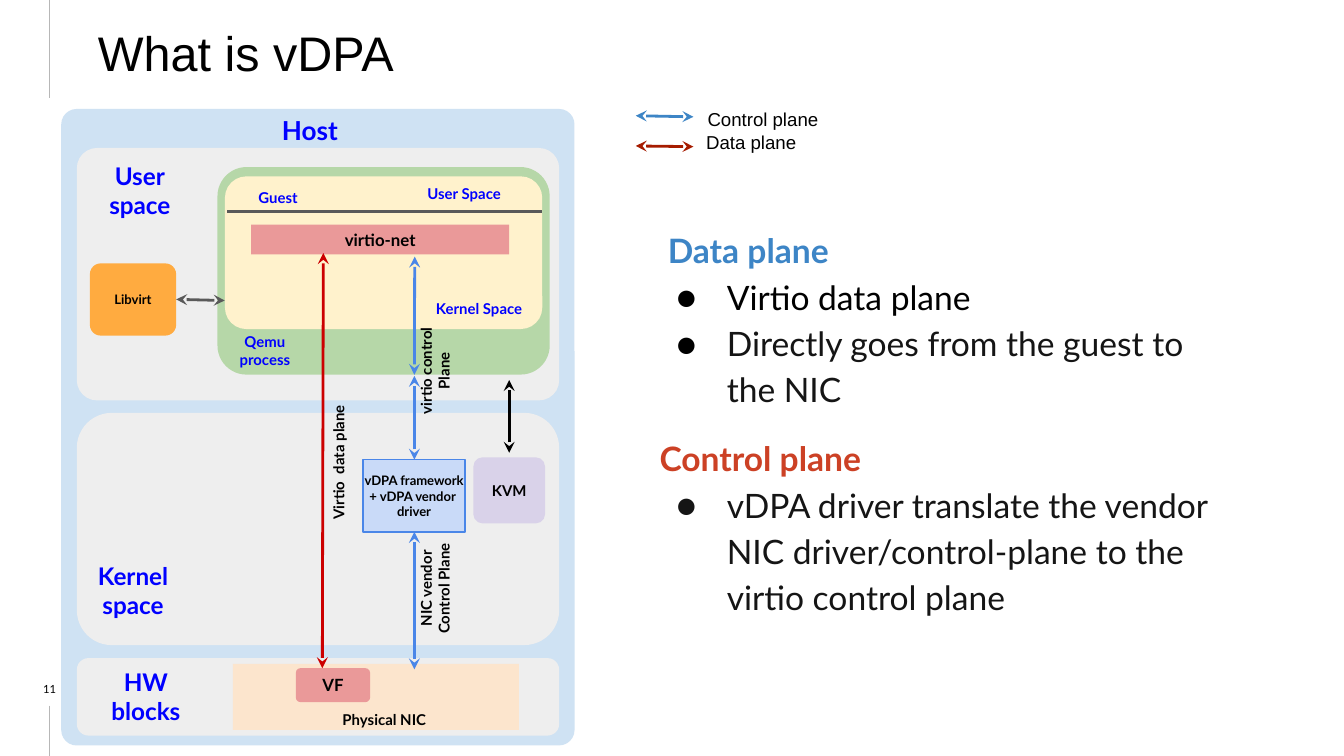
from lxml.etree import SubElement
from pptx import Presentation
from pptx.dml.color import RGBColor
from pptx.enum.shapes import MSO_CONNECTOR, MSO_SHAPE
from pptx.enum.text import MSO_ANCHOR, PP_ALIGN
from pptx.oxml.ns import qn
from pptx.util import Pt

COLORS = {
    "black": "000000", "ink": "151515", "label": "0000FF", "rule": "B7B7B7",
    "host": "CFE2F3", "zone": "EEEEEE", "orange": "FFAB40", "green": "B6D7A8",
    "cream": "FFF2CC", "lilac": "D9D2E9", "pink": "EA9999", "peach": "FCE5CD",
    "driver": "C9DAF8", "blue": "4A86E8", "red": "CC0000", "gray": "595959",
    "control": "3D85C6", "data": "A61C00", "rust": "CC4125",
}


class Deck:
    """Holds the style and the current slide, with one method per element."""

    def __init__(self, prs):
        self.s = prs.slides.add_slide(prs.slide_layouts[6])
        self.font = "Lato"

    def color(self, name):
        return RGBColor.from_string(COLORS[name])

    def run(self, p, text, size, color="black", bold=True, font=None):
        r = p.add_run()
        r.text = text
        r.font.size = Pt(size)
        r.font.name = font or self.font
        r.font.bold = bold
        r.font.color.rgb = self.color(color)

    def frame(self, sp, anchor=MSO_ANCHOR.MIDDLE, inset=7.2):
        tf = sp.text_frame
        tf.word_wrap = True
        tf.vertical_anchor = anchor
        tf.margin_left = tf.margin_right = Pt(inset)
        tf.margin_top = tf.margin_bottom = Pt(inset)
        return tf

    def fill_text(self, tf, text, size, align=PP_ALIGN.CENTER, **style):
        for i, line in enumerate(text.split("\n")):
            p = tf.add_paragraph() if i else tf.paragraphs[0]
            p.alignment = align
            self.run(p, line, size, **style)

    def box(self, x, y, w, h):
        return self.s.shapes.add_textbox(Pt(x), Pt(y), Pt(w), Pt(h))

    def text(self, x, y, w, h, text, size, anchor=MSO_ANCHOR.MIDDLE, inset=7.2,
             rotation=0, **style):
        sp = self.box(x, y, w, h)
        sp.rotation = rotation
        tf = self.frame(sp, anchor, inset)
        self.fill_text(tf, text, size, **style)
        return tf

    def block(self, x, y, w, h, fill, radius=None, text=None, size=8,
              line=None, inset=7.2):
        kind = MSO_SHAPE.ROUNDED_RECTANGLE if radius else MSO_SHAPE.RECTANGLE
        sp = self.s.shapes.add_shape(kind, Pt(x), Pt(y), Pt(w), Pt(h))
        sp.shadow.inherit = False
        if radius:
            sp.adjustments[0] = radius
        sp.fill.solid()
        sp.fill.fore_color.rgb = self.color(fill)
        if line:
            sp.line.color.rgb = self.color(line)
            sp.line.width = Pt(0.75)
        else:
            sp.line.fill.background()
        if text:
            self.fill_text(self.frame(sp, inset=inset), text, size)

    def line(self, x1, y1, x2, y2, color, width=1.5, arrows=True):
        cx = self.s.shapes.add_connector(
            MSO_CONNECTOR.STRAIGHT, Pt(x1), Pt(y1), Pt(x2), Pt(y2))
        cx.line.color.rgb = self.color(color)
        cx.line.width = Pt(width)
        if arrows:
            ln = cx.line._get_or_add_ln()
            for end in ("a:headEnd", "a:tailEnd"):
                SubElement(ln, qn(end), type="stealth", w="med", len="med")
        SubElement(cx._element.spPr, qn("a:effectLst"))

    def bullet(self, p, color):
        pPr = p._p.get_or_add_pPr()
        pPr.set("marL", str(Pt(36)))
        pPr.set("indent", str(Pt(-27)))
        clr = SubElement(pPr, qn("a:buClr"))
        SubElement(clr, qn("a:srgbClr"), val=COLORS[color])
        SubElement(pPr, qn("a:buFont"), typeface=self.font)
        SubElement(pPr, qn("a:buChar"), char="●")

    def outline(self, x, y, w, h, items):
        tf = self.frame(self.box(x, y, w, h), MSO_ANCHOR.TOP)
        for i, (text, color, dot, before) in enumerate(items):
            p = tf.add_paragraph() if i else tf.paragraphs[0]
            if dot:
                self.bullet(p, dot)
            p.line_spacing = 1.15
            if before:
                p.space_before = Pt(before)
            self.run(p, text, 18, color, bold=not dot)


def main():
    prs = Presentation()
    prs.slide_width, prs.slide_height = Pt(720), Pt(405)
    d = Deck(prs)
    left = PP_ALIGN.LEFT

    for y1, y2 in ((0, 52.5), (378, 405)):
        d.line(26.6, y1, 26.6, y2, "rule", 0.75, arrows=False)
    title = d.text(26.6, 3.6, 304, 48.2, "What is vDPA", 26, inset=5,
                   align=left, bold=False, font="Arial")
    title.margin_left = Pt(25.9)

    d.outline(346.3, 113, 316, 224, [
        (" Data plane", "control", None, 0),
        ("Virtio data plane", "black", "black", 0),
        ("Directly goes from the guest to the NIC", "ink", "black", 0),
        ("Control plane", "rust", None, 12),
        ("vDPA driver translate the vendor NIC driver/control-plane to the "
         "virtio control plane", "ink", "ink", 0),
    ])

    d.line(340.6, 62, 371.5, 62.6, "control")
    d.line(340.6, 78.2, 371.5, 78.6, "data")
    for x, y, w, name in ((371.2, 64, 63, "Data plane"),
                          (372, 51.8, 103, "Control plane")):
        d.text(x, y, w, 28.8, name, 10, MSO_ANCHOR.TOP, align=left,
               bold=False, font="Arial")

    d.block(32.8, 58.4, 275, 341, "host", 0.03)
    for y, h, radius in ((79.3, 135.2, 0.08), (221.2, 124.4, 0.15),
                         (352.6, 41.5, 0.15)):
        d.block(41.2, y, 258.4, h, "zone", radius)
    d.block(48.2, 141.1, 46.2, 38.7, "orange", 0.15, "Libvirt", 7)
    d.block(116.5, 89.5, 178, 111.2, "green", 0.14)
    d.block(120.5, 94.5, 170, 81.8, "cream", 0.14)
    d.block(253.6, 245, 38.4, 35.4, "lilac", 0.14, "KVM")
    d.block(134.6, 120.4, 138.2, 16, "pink", None, "virtio-net", 9)
    d.block(124.8, 355.6, 153.2, 35.4, "peach")
    d.block(158.5, 358, 39.8, 18.2, "pink", 0.14, "VF", 9)
    d.block(194.5, 246.3, 54.7, 38.7, "driver", None,
            "vDPA framework + vDPA vendor  driver", 7, "blue", 0)

    for x, y, w, h, name, size in (
            (131.8, 58.4, 68.4, 22.3, "Host", 14),
            (41.8, 82.4, 66.2, 38.9, "User\nspace", 13),
            (33.1, 294, 76.3, 44.6, "Kernel\nspace", 13),
            (42.5, 358, 71.3, 30.2, "HW\nblocks", 13),
            (127.4, 94.5, 43.2, 22.3, "Guest", 8),
            (217.4, 92.3, 62.6, 22.3, "User Space", 8),
            (225.4, 154.2, 62.6, 22.3, "Kernel Space", 8),
            (116.4, 176.4, 51.1, 22.3, "Qemu\nprocess", 8)):
        d.text(x, y, w, h, name, size, color="label")

    d.line(121.7, 113.2, 290.2, 113.2, "gray", arrows=False)
    for x1, y1, x2, y2, color in (
            (94.4, 160.4, 120.4, 161, "gray"),
            (272.8, 242.6, 272.8, 203.6, "black"),
            (222, 358.6, 222, 285, "blue"),
            (172.7, 358, 173.2, 135.6, "red"),
            (222, 246.3, 222, 201.4, "blue"),
            (222, 200.8, 222.2, 137.5, "blue")):
        d.line(x1, y1, x2, y2, color)

    d.text(118, 211, 126.7, 22.3, "Virtio  data plane", 8, rotation=270,
           align=left)
    for y, name in ((183.6, "virtio control Plane"),
                    (300.2, "NIC vendor Control Plane")):
        d.text(198, y, 69.8, 30.2, name, 8, rotation=270)
    d.text(161.3, 376.6, 89.3, 18, "Physical NIC", 8)
    d.text(5, 364.3, 43.2, 8.6, "11", 6, MSO_ANCHOR.BOTTOM, 0, bold=False)

    prs.save("out.pptx")


if __name__ == "__main__":
    main()
